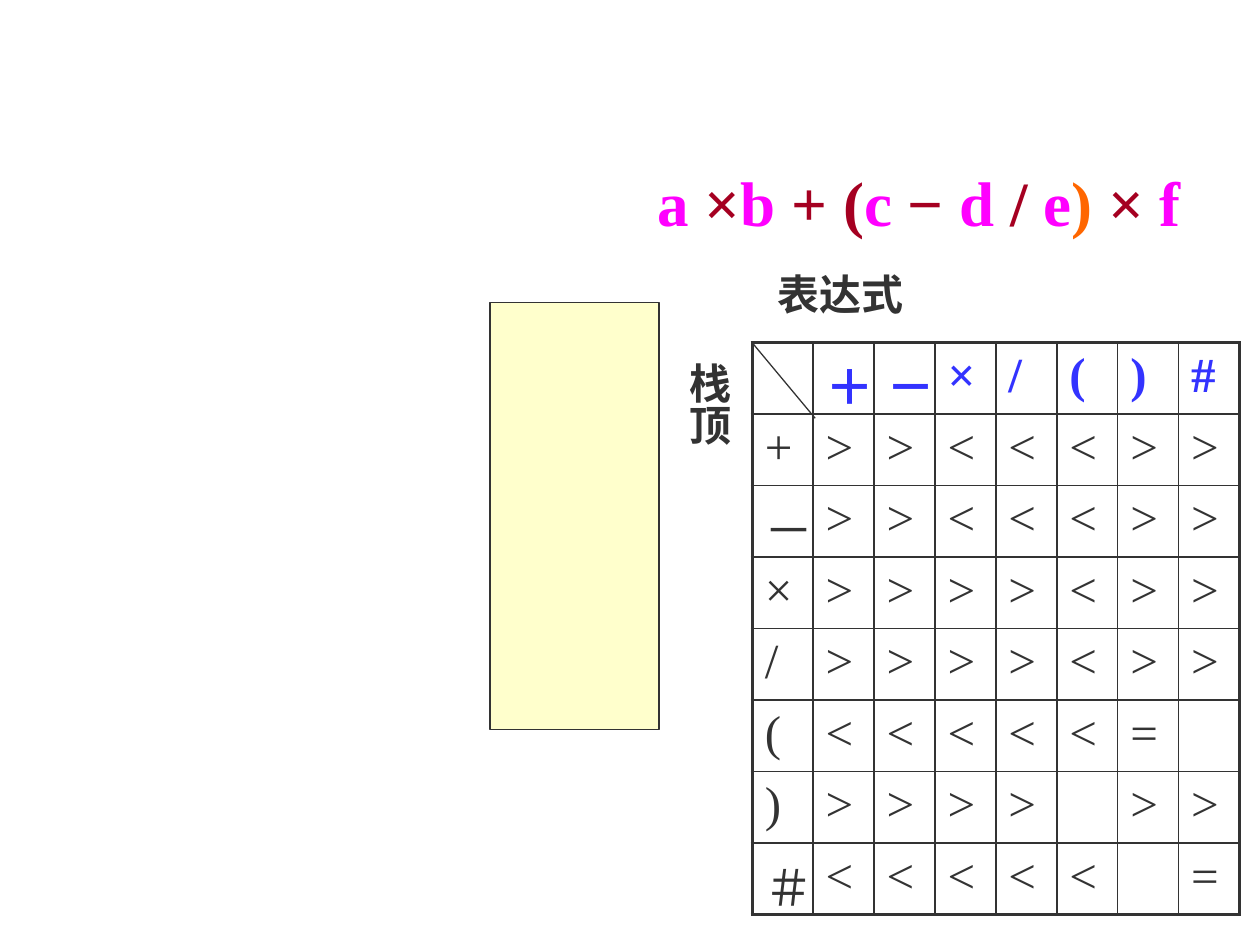
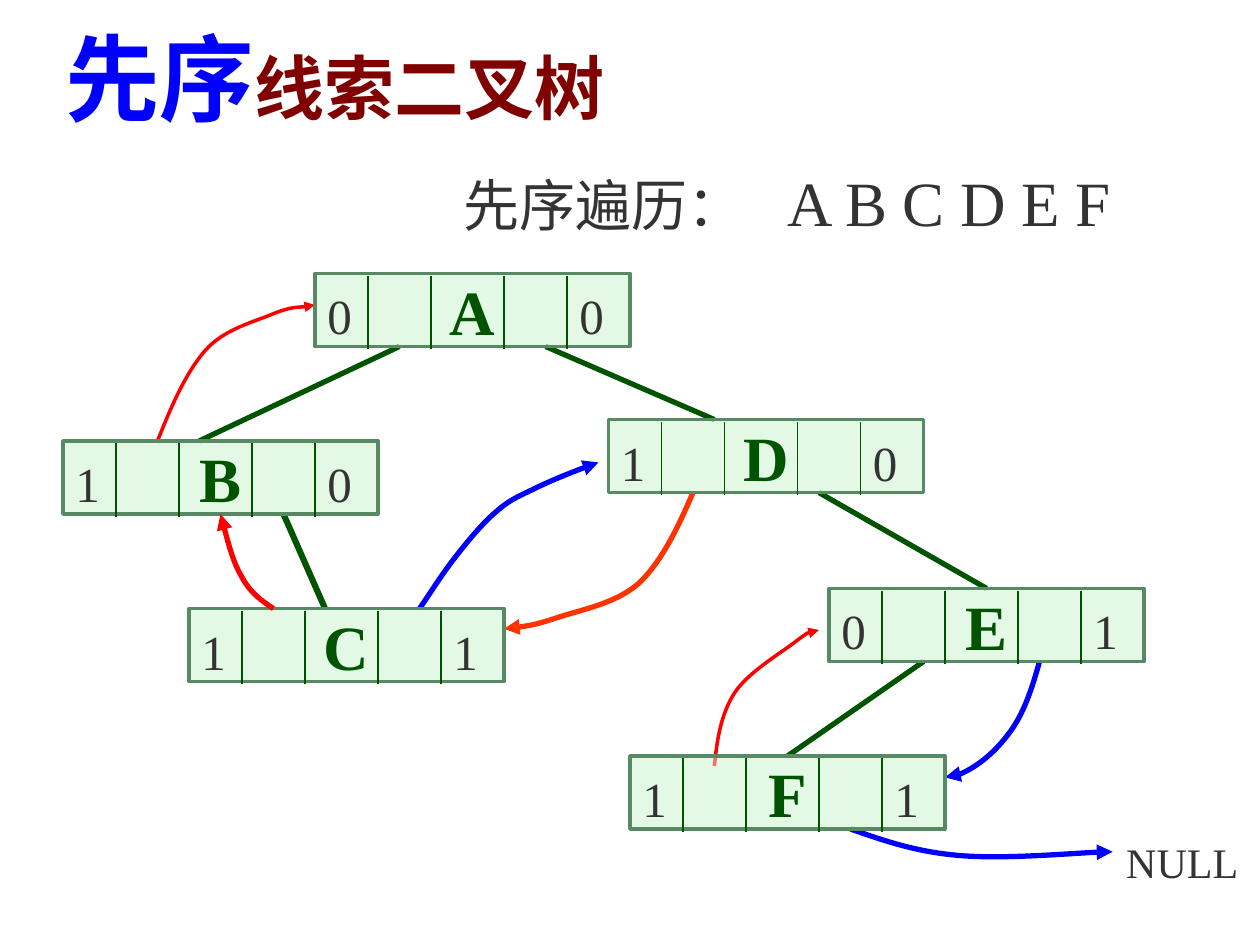
import lxml.etree
import pptx
import pptx.dml.color
import pptx.enum.shapes
import pptx.enum.text
import pptx.oxml.ns
import pptx.util

Inches = pptx.util.Inches
Pt = pptx.util.Pt
qn = pptx.oxml.ns.qn

FONT = "Times New Roman"
HUES = {
    "ink": "333333", "cream": "FFFFCC", "pink": "FF00FF", "wine": "A50021",
    "orange": "FF6600", "head": "3333FF", "blue": "0000FF", "brown": "800000",
    "red": "FF0000", "flame": "FF3300", "green": "005400", "mint": "CAF2CE",
    "rim": "578963",
}

TERMS = [("a ", "pink"), ("×", "wine"), ("b ", "pink"), ("+ (", "wine"),
         ("c ", "pink"), ("− ", "wine"), ("d", "pink"), (" / ", "wine"),
         ("e", "pink"), (") ", "orange"), ("×", "wine"), (" f", "pink")]

# One string a row, one symbol a cell; a space is an empty cell.
RULES = [" ＋－×/()#", "+>><<<>>", "－>><<<>>", "×>>>><>>",
         "/>>>><>>", "(<<<<<= ", ")>>>> >>", "＃<<<<< ="]

NODE_W, NODE_H = 2.5, 0.58
# Name: left and top within the tree, left flag, right flag
NODES = {
    "A": (2, 0, "00"), "B": (0, 1.33, "10"), "D": (4.33, 1.16, "10"),
    "C": (1, 2.66, "11"), "E": (6.08, 2.5, "01"), "F": (4.5, 3.83, "11"),
}
# Parent, x from its left, child, x from its left, width
EDGES = [("A", 0.67, "B", 1.08, 3), ("A", 1.83, "D", 0.84, 3),
         ("B", 1.75, "C", 1.08, 3.5), ("D", 1.67, "E", 1.25, 3),
         ("E", 0.75, "F", 1.25, 3)]
# Node, start from its corner, colour, width, Bezier points from the start
BACK = [
    ("C", 1.83, 0, "blue", 3,
     [(0.09, -0.13), (0.17, -0.26), (0.27, -0.39), (0.37, -0.52),
      (0.5, -0.68), (0.61, -0.77), (0.72, -0.87), (0.81, -0.9),
      (0.95, -0.97), (1.08, -1.03), (1.25, -1.1), (1.42, -1.16)]),
    ("B", 0.75, 0, "red", 2,
     [(0.11, -0.28), (0.23, -0.55), (0.38, -0.72), (0.53, -0.89),
      (0.78, -0.95), (0.92, -1.01), (1.07, -1.07), (1.2, -1.06),
      (1.25, -1.08)]),
    ("F", 0.67, 0.08, "red", 2,
     [(0.02, -0.2), (0.05, -0.41), (0.16, -0.58), (0.27, -0.75),
      (0.55, -0.91), (0.66, -1), (0.77, -1.08), (0.8, -1.08),
      (0.83, -1.08)]),
    ("D", 0.67, NODE_H, "flame", 3,
     [(-0.12, 0.28), (-0.25, 0.55), (-0.43, 0.72), (-0.61, 0.88),
      (-0.89, 0.93), (-1.07, 0.99), (-1.25, 1.05), (-1.43, 1.08),
      (-1.5, 1.08)]),
    ("E", 1.67, NODE_H, "blue", 3,
     [(-0.06, 0.22), (-0.13, 0.43), (-0.25, 0.58), (-0.37, 0.74),
      (-0.63, 0.94), (-0.75, 0.92)]),
    ("F", 1.75, NODE_H, "blue", 3,
     [(0.26, 0.09), (0.51, 0.18), (0.86, 0.21), (1.21, 0.24),
      (1.9, 0.18), (2.08, 0.18)]),
]
FRONT = [
    ("C", 0.67, 0, "red", 3,
     [(-0.09, -0.06), (-0.18, -0.12), (-0.25, -0.25), (-0.32, -0.37),
      (-0.37, -0.56), (-0.42, -0.75)]),
]


def rgb(name):
    return pptx.dml.color.RGBColor.from_string(HUES[name])


def write(para, runs):
    """Fill a paragraph with (text, size, colour, bold) runs."""
    for text, size, hue, bold in runs:
        run = para.add_run()
        run.text = text
        run.font.name = FONT
        run.font.size = Pt(size)
        run.font.bold = bold
        run.font.color.rgb = rgb(hue)


def label(slide, box, runs, wrap=True, inset=0.05):
    text = slide.shapes.add_textbox(*map(Inches, box))
    frame = text.text_frame
    frame.word_wrap = wrap
    frame.margin_top = Inches(inset)
    write(frame.paragraphs[0], runs)
    return frame


def pen(shape, hue, width):
    shape.line.color.rgb = rgb(hue)
    shape.line.width = Pt(width)


def line(shapes, start, end, hue, width):
    kind = pptx.enum.shapes.MSO_CONNECTOR.STRAIGHT
    link = shapes.add_connector(kind, *map(Inches, (*start, *end)))
    pen(link, hue, width)
    lxml.etree.SubElement(link.element.spPr, qn("a:effectLst"))


def rect(shapes, box, fill, hue, width):
    kind = pptx.enum.shapes.MSO_SHAPE.RECTANGLE
    shape = shapes.add_shape(kind, *map(Inches, box))
    shape.shadow.inherit = False
    shape.fill.solid()
    shape.fill.fore_color.rgb = rgb(fill)
    pen(shape, hue, width)
    return shape


def curve(slide, x, y, hue, width, steps):
    """Draw a Bezier arrow; every three steps are one cubic segment."""
    build = slide.shapes.build_freeform(Inches(x), Inches(y))
    build.add_line_segments(
        [(Inches(x + dx), Inches(y + dy)) for dx, dy in steps], close=False)
    shape = build.convert_to_shape()
    track = shape.element.find(".//" + qn("a:path"))
    lines = track.findall(qn("a:lnTo"))
    for i in range(0, len(lines), 3):
        cubic = lxml.etree.SubElement(track, qn("a:cubicBezTo"))
        for part in lines[i:i + 3]:
            cubic.append(part[0])
            track.remove(part)
    shape.shadow.inherit = False
    shape.fill.background()
    pen(shape, hue, width)
    edge = shape.element.spPr.find(qn("a:ln"))
    lxml.etree.SubElement(edge, qn("a:tailEnd"), type="triangle")


def border(cell, sides):
    """Draw cell borders from a dict of side letter and width."""
    props = cell._tc.get_or_add_tcPr()
    for side, width in sides.items():
        edge = lxml.etree.SubElement(props, qn("a:ln" + side), w=str(Pt(width)))
        fill = lxml.etree.SubElement(edge, qn("a:solidFill"))
        lxml.etree.SubElement(fill, qn("a:srgbClr"), val=HUES["ink"])


def grid(slide, left, top, width, height):
    size = len(RULES)
    last = size - 1
    table = slide.shapes.add_table(
        size, size, *map(Inches, (left, top, width, height))).table
    table.first_row = table.horz_banding = False
    for i in range(size):
        table.columns[i].width = Inches(width / size)
        table.rows[i].height = Inches(height / size)
    for r, row in enumerate(RULES):
        for c, sign in enumerate(row):
            cell = table.cell(r, c)
            edges = {"L": c == 0, "R": c == last, "T": r == 0, "B": r == last}
            border(cell, {s: 2.25 if out else 1 for s, out in edges.items()})
            cell.fill.background()
            if sign != " ":
                hue = "ink" if r else "head"
                write(cell.text_frame.paragraphs[0], [(sign, 28, hue, r == 0)])


def rules(slide, left, top):
    """Place the stack, the expression and the table of priorities."""
    rect(slide.shapes, (left, top + 1.2, 1.34, 3.39), "cream", "ink", 0.75)
    label(slide, (left + 1.23, top, 4.88, 0.7),
          [(text, 36, hue, True) for text, hue in TERMS], inset=0.1)
    x, y = left + 2.08, top + 1.52
    grid(slide, x, y, 3.87, 4.53)
    label(slide, (x + 0.1, y - 0.64, 2.57, 0.5), [("表达式", 24, "ink", True)])
    frame = label(slide, (x - 0.69, y + 0.06, 0.6, 1.28),
                  [("栈顶", 24, "ink", True)])
    frame._txBody.bodyPr.set("vert", "eaVert")
    line(slide.shapes, (x, y), (x + 0.5, y + 0.6), "ink", 0.75)


def node(slide, x, y, name, flags):
    group = slide.shapes.add_group_shape()
    box = rect(group.shapes, (x, y, NODE_W, NODE_H), "mint", "rim", 2)
    tint = box.element.spPr.find(qn("a:solidFill"))[0]
    lxml.etree.SubElement(tint, qn("a:alpha"), val="50000")
    frame = box.text_frame
    frame.word_wrap = False
    frame.vertical_anchor = pptx.enum.text.MSO_ANCHOR.MIDDLE
    para = frame.paragraphs[0]
    para.alignment = pptx.enum.text.PP_ALIGN.CENTER
    write(para, [(name, 36, "green", True)])
    for dx in (0.42, 0.92, 1.5, 2):
        line(group.shapes, (x + dx, y + 0.02), (x + dx, y + 0.6), "green", 1)
    for dx, flag in zip((0, 2), flags):
        label(slide, (x + dx, y, 0.5, 0.57), [(flag, 28, "ink", False)],
              inset=0.1)


def tree(slide, left, top):
    spots = {n: (left + x, top + y) for n, (x, y, _) in NODES.items()}

    def thread(name, dx, dy, hue, width, steps):
        x, y = spots[name]
        curve(slide, x + dx, y + dy, hue, width, steps)

    for head, out, child, into, width in EDGES:
        x, y = spots[head]
        u, v = spots[child]
        line(slide.shapes, (x + out, y + NODE_H), (u + into, v), "green", width)
    for item in BACK:
        thread(*item)
    label(slide, (left + 8.34, top + 4.37, 1.16, 0.5),
          [("NULL", 24, "ink", False)], inset=0.1)
    for name, spot in spots.items():
        node(slide, *spot, name, NODES[name][2])
    for item in FRONT:
        thread(*item)


def title(slide, left, top):
    frame = label(slide, (left, top, 4.49, 1.18),
                  [("先序", 54, "blue", True), ("线索二叉树", 40, "brown", True)],
                  wrap=False)
    frame.paragraphs[0].line_spacing = 1.2


def order(slide, left, top):
    """State the traversal order, letters set at a tab stop."""
    frame = label(slide, (left, top, 5.5, 0.7),
                  [("先序遍历：", 32, "ink", False),
                   ("\tA B C D E F", 36, "ink", False)])
    props = frame.paragraphs[0]._p.get_or_add_pPr()
    tabs = lxml.etree.SubElement(props, qn("a:tabLst"))
    lxml.etree.SubElement(tabs, qn("a:tab"), pos=str(Inches(2.57)), algn="l")


def main():
    deck = pptx.Presentation()
    deck.slide_width, deck.slide_height = Inches(10), Inches(7.5)
    blank = deck.slide_layouts[6]
    rules(deck.slides.add_slide(blank), 3.89, 1.2)
    slide = deck.slides.add_slide(blank)
    title(slide, 0.42, -0.07)
    order(slide, 3.58, 1.25)
    tree(slide, 0.5, 2.17)
    deck.save("out.pptx")


if __name__ == "__main__":
    main()
